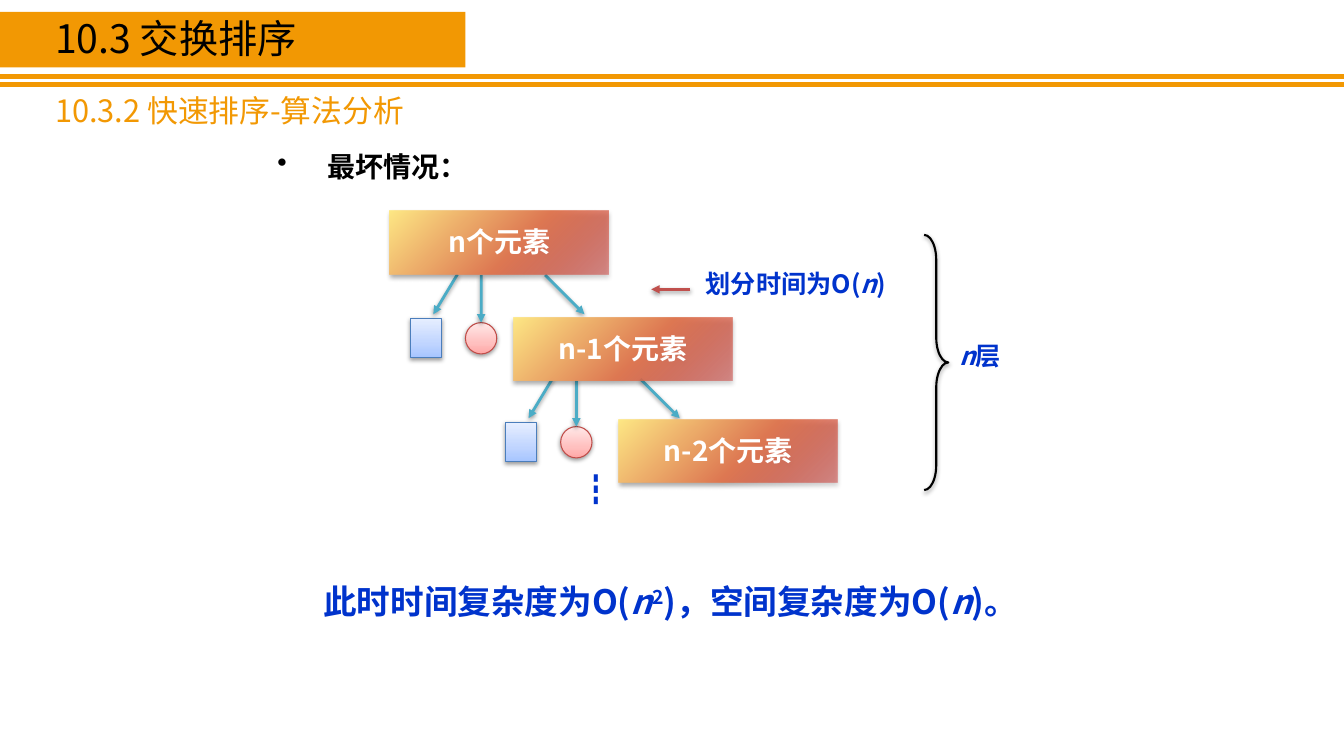
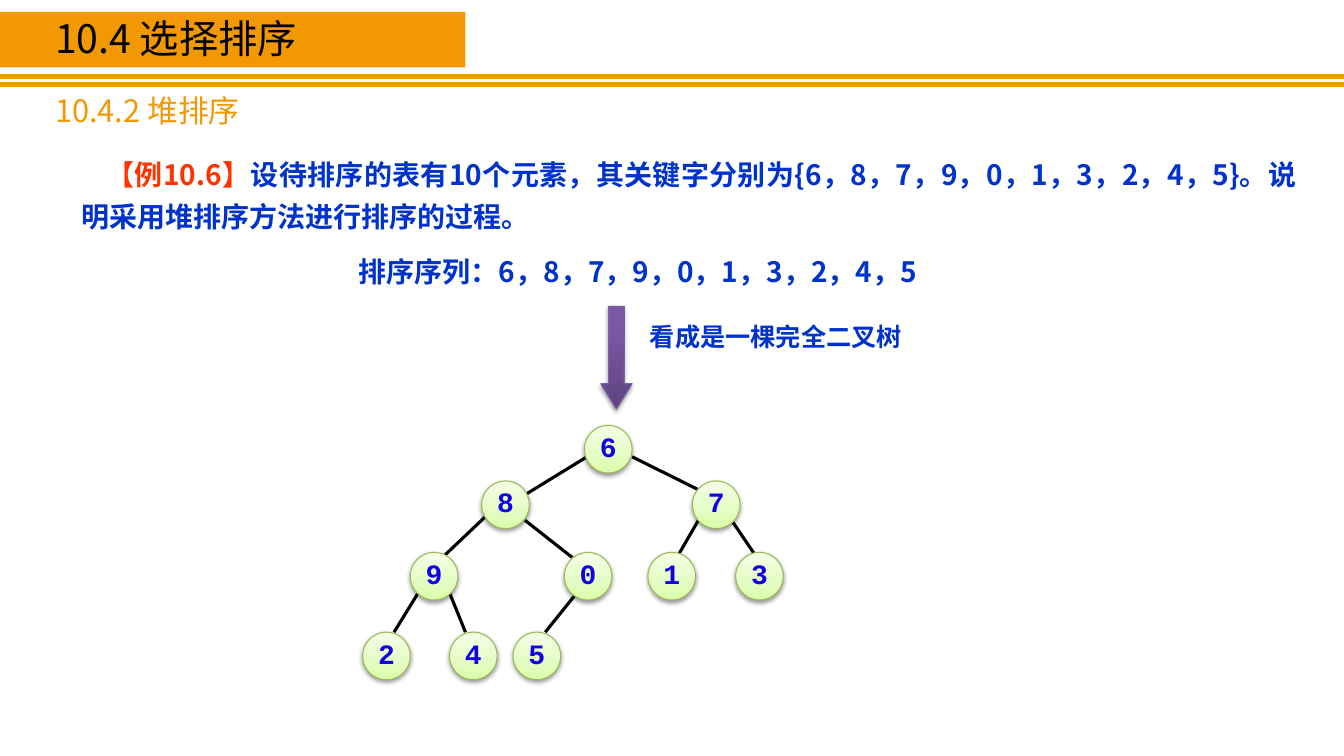
from dataclasses import dataclass

from lxml.etree import SubElement
from pptx import Presentation
from pptx.dml.color import RGBColor
from pptx.enum.shapes import MSO_CONNECTOR, MSO_SHAPE
from pptx.enum.text import MSO_ANCHOR, PP_ALIGN
from pptx.oxml.ns import qn
from pptx.util import Cm, Pt


@dataclass(frozen=True)
class Theme:
    font: str = "Noto Sans CJK SC"
    digit_font: str = "Courier New"
    orange: str = "F29803"
    blue: str = "0033CC"
    digit_blue: str = "1000E4"
    red: str = "FF3300"
    black: str = "000000"
    white: str = "FFFFFF"
    teal: str = "4BACC6"
    brick: str = "C0504D"
    title: int = 28
    subtitle: int = 22
    large: int = 24
    body: int = 20
    label: int = 18
    # Gradient stops: position, colour, opacity (all in percent)
    ember: tuple = ((0, "CE3B37", 50), (43, "DF7953", 100), (100, "FFE985", 100))
    pink: tuple = ((0, "FFA6A5", 100), (35, "FFC0BF", 100), (100, "FFE7E7", 100))
    sky: tuple = ((0, "A4C4FF", 100), (35, "BFD4FF", 100), (100, "E6EEFF", 100))
    lime: tuple = ((0, "DAFDA7", 100), (35, "E4FCC2", 100), (100, "F5FFE7", 100))
    violet: tuple = ((0, "5F4480", 100), (80, "7B58A6", 100), (100, "7C57A8", 100))
    # Shadows: blur and distance in points, opacity in percent
    soft: tuple = (3.1, 1.6, 38)
    deep: tuple = (3.5, 2.2, 32)


theme = Theme()
ITALIC = {"italic": True}


def style(shape, fill=None, angle=90, line=None, width=0.75, shadow=None, arrow=False):
    """Set fill (colour or gradient stops), outline, arrowhead and shadow."""
    properties = shape._element.spPr
    if isinstance(fill, str):
        shape.fill.solid()
        shape.fill.fore_color.rgb = RGBColor.from_string(fill)
    elif fill:
        shape.fill.gradient()
        shape.fill.gradient_angle = angle
        stops = properties.find(qn("a:gradFill")).find(qn("a:gsLst"))
        for stop in list(stops):
            stops.remove(stop)
        for position, color, opacity in fill:
            stop = SubElement(stops, qn("a:gs"), pos=str(position * 1000))
            tint = SubElement(stop, qn("a:srgbClr"), val=color)
            SubElement(tint, qn("a:alpha"), val=str(opacity * 1000))
    elif hasattr(shape, "fill"):
        shape.fill.background()

    if line:
        shape.line.color.rgb = RGBColor.from_string(line)
        shape.line.width = Pt(width)
    else:
        shape.line.fill.background()
    if arrow:
        SubElement(properties.find(qn("a:ln")), qn("a:tailEnd"), type="triangle")

    effects = SubElement(properties, qn("a:effectLst"))
    if shadow:
        blur, distance, opacity = shadow
        outer = SubElement(effects, qn("a:outerShdw"), blurRad=str(Pt(blur)),
                           dist=str(Pt(distance)), dir="5400000", rotWithShape="0")
        tint = SubElement(outer, qn("a:srgbClr"), val=theme.black)
        SubElement(tint, qn("a:alpha"), val=str(opacity * 1000))


def write(box, spans, size, color=theme.blue, bold=True, font=theme.font,
          frame_format=None, indent=None, bullet=None, **para_format):
    """Fill a box with one paragraph; a span is (text, font changes)."""
    frame = box.text_frame
    for name, value in ({"word_wrap": True} | (frame_format or {})).items():
        setattr(frame, name, value)
    para = frame.paragraphs[0]
    for name, value in ({"line_spacing": 0.8, "alignment": PP_ALIGN.LEFT} | para_format).items():
        setattr(para, name, value)
    para_properties = para._p.get_or_add_pPr()
    if indent:
        para_properties.set("indent", str(Cm(indent)))
    if bullet:
        para_properties.set("marL", str(Cm(-indent)))
        SubElement(para_properties, qn("a:buChar"), char=bullet)

    for text, changes in spans:
        span = para.add_run()
        span.text = text
        values = {"name": font, "size": Pt(size), "bold": bold, "color": color} | changes
        span.font.color.rgb = RGBColor.from_string(values.pop("color"))
        baseline = values.pop("baseline", None)
        for name, value in values.items():
            setattr(span.font, name, value)
        span_properties = span._r.get_or_add_rPr()
        SubElement(span_properties, qn("a:ea"), typeface=font)
        if baseline:
            span_properties.set("baseline", str(baseline * 1000))


deck = Presentation()
deck.slide_width, deck.slide_height = Cm(33.87), Cm(19.05)

# Bands and headings shared by both slides
pages = []
for title, subtitle in [("10.3 交换排序", "10.3.2 快速排序-算法分析"),
                        ("10.4 选择排序", "10.4.2 堆排序")]:
    page = deck.slides.add_slide(deck.slide_layouts[6])
    pages.append(page)
    for y in (1.93, 2.13):
        rule = page.shapes.add_connector(MSO_CONNECTOR.STRAIGHT, 0, Cm(y),
                                         deck.slide_width, Cm(y))
        style(rule, line=theme.orange, width=3)
    band = page.shapes.add_shape(MSO_SHAPE.RECTANGLE, 0, Cm(0.3), Cm(11.73), Cm(1.4))
    style(band, theme.orange)
    for text, y, height, size, color in [(title, 0.46, 1.22, theme.title, theme.black),
                                         (subtitle, 2.36, 1.02, theme.subtitle, theme.orange)]:
        box = page.shapes.add_textbox(Cm(1.14), Cm(y), Cm(10), Cm(height))
        write(box, [(text, {})], size, color, bold=False)
quick_page, heap_page = pages

# Quick sort: worst case
shapes = quick_page.shapes
bullet_box = shapes.add_textbox(Cm(6.48), Cm(3.73), Cm(6.93), Cm(1.09))
write(bullet_box, [("最坏情况：", {})], theme.body, theme.black, indent=-1.27, bullet="•",
      frame_format={"margin_left": Cm(0.51), "margin_top": Cm(0.2), "margin_bottom": Cm(0.2)})

LEVEL_STEP = (2.4, 2.62)
for level in range(2):
    dx, dy = (level * step for step in LEVEL_STEP)
    pivot = shapes.add_shape(MSO_SHAPE.OVAL, Cm(11.73 + dx), Cm(8.13 + dy), Cm(0.79), Cm(0.79))
    style(pivot, theme.pink, line="BF4C48", shadow=theme.soft)
    left_part = shapes.add_shape(MSO_SHAPE.RECTANGLE, Cm(10.34 + dx), Cm(8.03 + dy),
                                 Cm(0.79), Cm(0.99))
    style(left_part, theme.sky, line="4B7EBC", shadow=theme.soft)
    for x1, y1, x2, y2, target in [(11.53, 6.91, 10.92, 7.92, None),
                                   (12.13, 6.93, 12.13, 8.13, pivot),
                                   (13.74, 6.93, 14.73, 7.92, None)]:
        branch = shapes.add_connector(MSO_CONNECTOR.STRAIGHT, Cm(x1 + dx), Cm(y1 + dy),
                                      Cm(x2 + dx), Cm(y2 + dy))
        if target:
            branch.end_connect(target, 0)
        style(branch, line=theme.teal, width=2, shadow=theme.soft, arrow=True)

for text, x, y in [("n个元素", 9.83, 5.31), ("n-1个元素", 12.95, 8), ("n-2个元素", 15.6, 10.57)]:
    part = shapes.add_shape(MSO_SHAPE.RECTANGLE, Cm(x), Cm(y), Cm(5.51), Cm(1.6))
    style(part, theme.ember, angle=135, shadow=theme.deep)
    write(part, [(text, {})], theme.body, theme.white, alignment=PP_ALIGN.CENTER,
          frame_format={"margin_top": Cm(0.51), "vertical_anchor": MSO_ANCHOR.TOP})

brace = shapes.add_shape(MSO_SHAPE.RIGHT_BRACE, Cm(23.29), Cm(5.92), Cm(0.61), Cm(6.43))
brace.adjustments[0], brace.adjustments[1] = 1.03, 0.5
style(brace, line=theme.black, width=1.5, shadow=theme.soft)

time_arrow = shapes.add_connector(MSO_CONNECTOR.STRAIGHT, Cm(17.4), Cm(7.29), Cm(16.41), Cm(7.29))
style(time_arrow, line=theme.brick, width=2, shadow=theme.soft, arrow=True)

quick_texts = [
    ((13.13, 11.89, 3.78, 1.07), theme.large, PP_ALIGN.CENTER, [("┇", {})]),
    ((23.93, 8.59, 1.78, 0.86), theme.label, PP_ALIGN.LEFT, [("n", ITALIC), ("层", {})]),
    ((16.76, 6.78, 6.6, 0.86), theme.label, PP_ALIGN.CENTER,
     [("划分时间为O(", {}), ("n", ITALIC), (")", {})]),
    ((7.9, 14.71, 18.01, 1.07), theme.large, PP_ALIGN.LEFT,
     [("此时时间复杂度为O(", {}), ("n", ITALIC), ("2", {"baseline": 30}),
      (")，空间复杂度为O(", {}), ("n", ITALIC), (")。", {})]),
]
for place, size, alignment, spans in quick_texts:
    write(shapes.add_textbox(*map(Cm, place)), spans, size, alignment=alignment)

# Heap sort: the list seen as a complete binary tree
shapes = heap_page.shapes
example = shapes.add_textbox(Cm(1.8), Cm(3.63), Cm(31.12), Cm(2.39))
write(example, [("【例10.6】", {"color": theme.red}),
                ("设待排序的表有10个元素，其关键字分别为{6，8，7，9，0，1，3，2，4，5}。"
                 "说明采用堆排序方法进行排序的过程。", {})],
      theme.body, indent=0.63, alignment=PP_ALIGN.JUSTIFY, line_spacing=Pt(30))
for text, place, size in [
    ("排序序列：6，8，7，9，0，1，3，2，4，5", (8.79, 6.45, 16.66, 0.94), theme.body),
    ("看成是一棵完全二叉树", (16.13, 8.13, 10, 0.86), theme.label),
]:
    write(shapes.add_textbox(*map(Cm, place)), [(text, {})], size)

down_arrow = shapes.add_shape(MSO_SHAPE.DOWN_ARROW, Cm(15.14), Cm(7.72), Cm(0.79), Cm(2.59))
down_arrow.adjustments[0], down_arrow.adjustments[1] = 0.5, 0.81
style(down_arrow, theme.violet, line="7D60A0", shadow=theme.soft)

tree_edges = [
    (14.76, 11.53, 13.26, 12.45), (15.93, 11.51, 17.6, 12.34),
    (12.22, 13.03, 11.2, 14), (13.23, 13.11, 14.45, 14.07),
    (17.6, 13.11, 17.12, 13.94), (18.47, 13.16, 19, 13.94),
    (10.54, 14.94, 9.93, 15.93), (11.33, 14.94, 11.73, 15.93),
    (14.48, 15.01, 13.74, 15.93),
]
for ends in tree_edges:
    edge = shapes.add_connector(MSO_CONNECTOR.STRAIGHT, *map(Cm, ends))
    style(edge, line=theme.black, width=2.25)

tree_levels = [
    (10.72, [("6", 14.73)]),
    (12.12, [("8", 12.14), ("7", 17.45)]),
    (13.92, [("9", 10.34), ("0", 14.22), ("1", 16.33), ("3", 18.54)]),
    (15.93, [("2", 9.14), ("4", 11.33), ("5", 12.93)]),
]
for y, keys in tree_levels:
    for key, x in keys:
        node = shapes.add_shape(MSO_SHAPE.OVAL, Cm(x), Cm(y), Cm(1.2), Cm(1.2))
        style(node, theme.lime, line="98B955", shadow=theme.soft)
        write(node, [(key, {})], theme.body, theme.digit_blue, font=theme.digit_font,
              alignment=PP_ALIGN.CENTER,
              frame_format={"word_wrap": False, "vertical_anchor": MSO_ANCHOR.MIDDLE})

deck.save("out.pptx")
